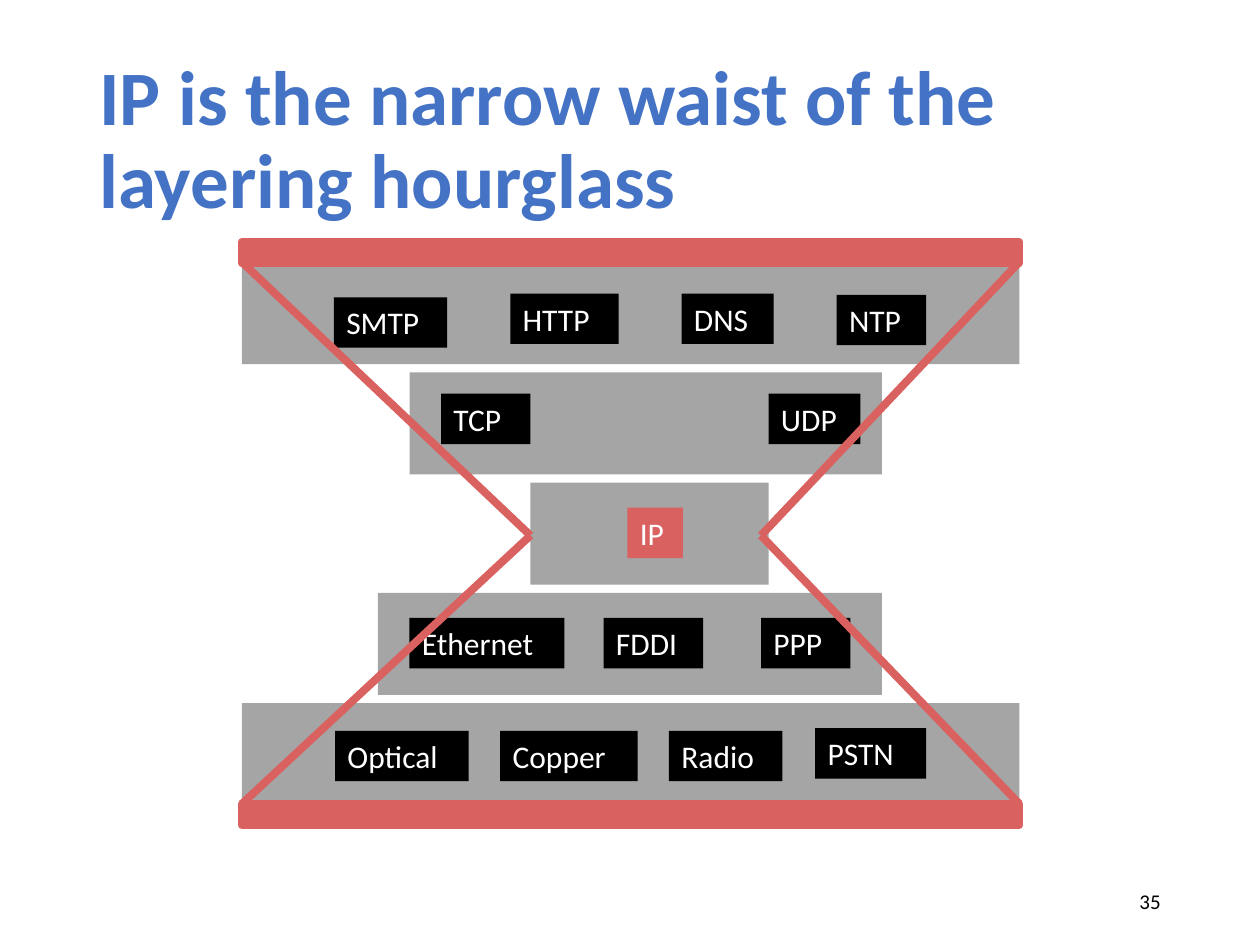
from collections import namedtuple
from dataclasses import dataclass

from lxml import etree
from pptx import Presentation
from pptx.dml.color import RGBColor
from pptx.enum.shapes import MSO_CONNECTOR, MSO_SHAPE
from pptx.enum.text import MSO_ANCHOR, PP_ALIGN
from pptx.oxml.ns import qn
from pptx.util import Inches, Pt

RECTANGLE = MSO_SHAPE.RECTANGLE
STRAIGHT = MSO_CONNECTOR.STRAIGHT
MIDDLE, TOP = MSO_ANCHOR.MIDDLE, MSO_ANCHOR.TOP
LEFT, RIGHT = PP_ALIGN.LEFT, PP_ALIGN.RIGHT

Box = namedtuple("Box", "left top width height")
Layer = namedtuple("Layer", "left width protocols")
Protocol = namedtuple("Protocol", "name left top width")


@dataclass(frozen=True)
class Theme:
    font: str = "Calibri"
    title: RGBColor = RGBColor(0x44, 0x72, 0xC4)
    accent: RGBColor = RGBColor(0xD9, 0x61, 0x5F)
    layer: RGBColor = RGBColor(0xA5, 0xA5, 0xA5)
    dark: RGBColor = RGBColor(0, 0, 0)
    light: RGBColor = RGBColor(0xFF, 0xFF, 0xFF)
    title_size: Pt = Pt(44)
    protocol_size: Pt = Pt(18)
    number_size: Pt = Pt(12)
    outline: Pt = Pt(4.5)


THEME = Theme()
LAYER_HEIGHT = 0.81
LAYER_STEP = 0.875
PROTOCOL_HEIGHT = 0.4
BAR_HEIGHT = 0.17
WAIST = "IP"

LAYERS = [
    Layer(0, 6.17, [
        Protocol("SMTP", 0.73, 0.28, 0.9),
        Protocol("HTTP", 2.13, 0.25, 0.86),
        Protocol("DNS", 3.49, 0.25, 0.73),
        Protocol("NTP", 4.72, 0.26, 0.71),
    ]),
    Layer(1.33, 3.75, [
        Protocol("TCP", 0.25, 0.17, 0.71),
        Protocol("UDP", 2.85, 0.17, 0.73),
    ]),
    Layer(2.29, 1.89, [Protocol(WAIST, 0.77, 0.2, 0.44)]),
    Layer(1.08, 4, [
        Protocol("Ethernet", 0.25, 0.2, 1.23),
        Protocol("FDDI", 1.79, 0.2, 0.79),
        Protocol("PPP", 3.04, 0.2, 0.71),
    ]),
    Layer(0, 6.17, [
        Protocol("Optical", 0.74, 0.22, 1.06),
        Protocol("Copper", 2.05, 0.22, 1.09),
        Protocol("Radio", 3.39, 0.22, 0.9),
        Protocol("PSTN", 4.55, 0.2, 0.88),
    ]),
]


def write_text(shape, text, size, color, bold=False, align=LEFT, anchor=TOP):
    frame = shape.text_frame
    frame.word_wrap = True
    frame.vertical_anchor = anchor
    para = frame.paragraphs[0]
    para.text = text
    para.alignment = align
    font = para.runs[0].font
    font.name, font.size, font.bold = THEME.font, size, bold
    font.color.rgb = color
    return para


def add_rectangle(shapes, box, fill):
    shape = shapes.add_shape(RECTANGLE, *map(Inches, box))
    shape.shadow.inherit = False
    shape.fill.solid()
    shape.fill.fore_color.rgb = fill
    shape.line.fill.background()
    return shape


def add_edge(shapes, start, end):
    edge = shapes.add_connector(STRAIGHT, *map(Inches, start + end))
    edge.line.color.rgb = THEME.accent
    edge.line.width = THEME.outline
    etree.SubElement(edge._element.spPr, qn("a:effectLst"))


def add_title(page, box):
    shape = page.shapes.add_textbox(*map(Inches, box))
    para = write_text(shape, "IP is the narrow waist of the layering hourglass",
                      THEME.title_size, THEME.title, bold=True, anchor=MIDDLE)
    para.line_spacing = 0.9


def add_page_number(page, box):
    shape = page.shapes.add_textbox(*map(Inches, box))
    write_text(shape, "35", THEME.number_size, THEME.dark, align=RIGHT, anchor=MIDDLE)


def add_layers(shapes, box):
    placed = []
    for index, layer in enumerate(LAYERS):
        area = Box(box.left + layer.left, box.top + 0.16 + index * LAYER_STEP,
                   layer.width, LAYER_HEIGHT)
        add_rectangle(shapes, area, THEME.layer)
        placed.append((area, layer.protocols))
    for area, protocols in placed:
        for protocol in protocols:
            fill = THEME.accent if protocol.name == WAIST else THEME.dark
            label = Box(area.left + protocol.left, area.top + protocol.top,
                        protocol.width, PROTOCOL_HEIGHT)
            shape = add_rectangle(shapes, label, fill)
            write_text(shape, protocol.name, THEME.protocol_size, THEME.light)


def add_outline(shapes, box):
    upper = box.top + 0.16
    lower = box.top + box.height - BAR_HEIGHT
    middle = box.top + 2.33
    sides = [(box.left, box.left + 2.29), (box.left + box.width, box.left + 4.12)]
    for outer, inner in sides:
        for end in (upper, lower):
            add_edge(shapes, (outer, end), (inner, middle))
    for top in (box.top, lower):
        bar = add_rectangle(shapes, Box(box.left, top, box.width, BAR_HEIGHT), THEME.accent)
        bar.line.color.rgb = THEME.accent
        bar.line.width = THEME.outline


def add_hourglass(page, box):
    shapes = page.shapes.add_group_shape().shapes
    add_layers(shapes, box)
    add_outline(shapes, box)


def main():
    deck = Presentation()
    deck.slide_width, deck.slide_height = Inches(10), Inches(7.5)
    page = deck.slides.add_slide(deck.slide_layouts[6])
    add_title(page, Box(0.69, 0.4, 8.62, 1.45))
    add_page_number(page, Box(7.06, 6.95, 2.25, 0.4))
    add_hourglass(page, Box(1.92, 1.92, 6.17, 4.63))
    deck.save("out.pptx")


if __name__ == "__main__":
    main()
